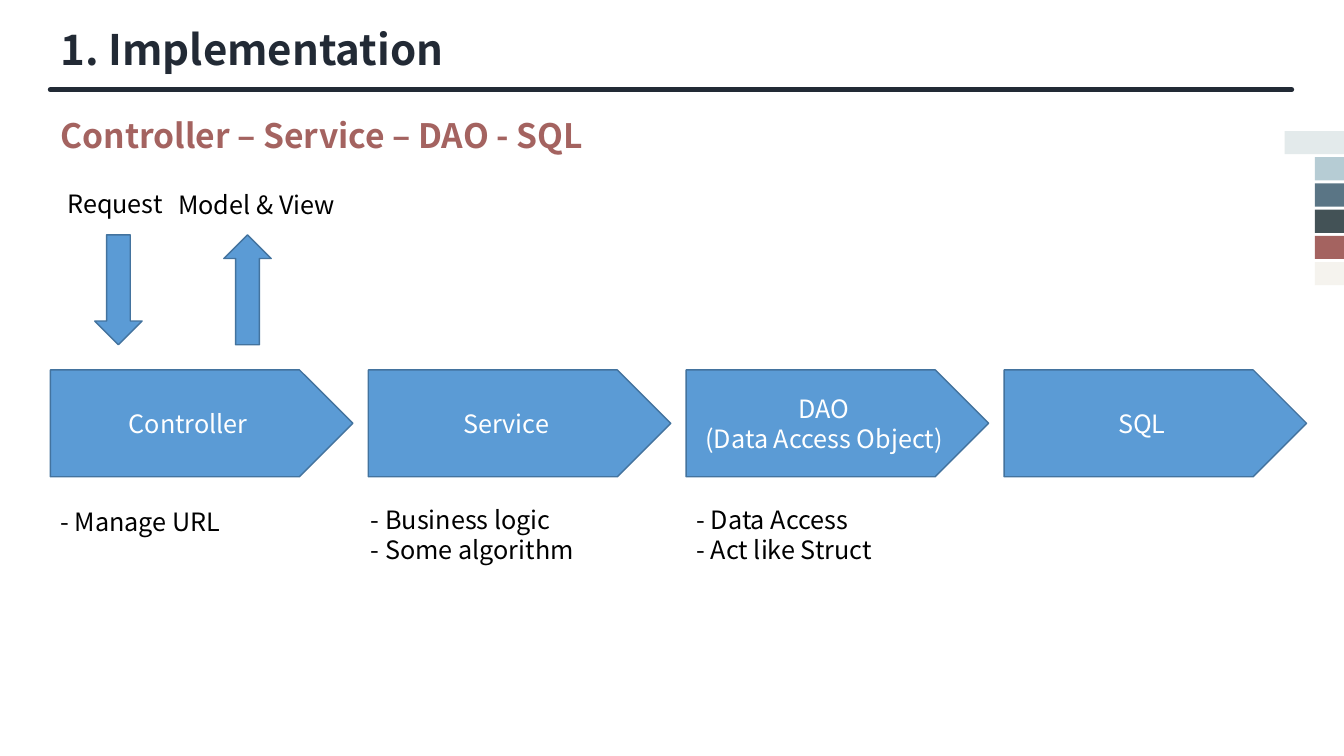
from dataclasses import dataclass
from lxml.etree import SubElement as Sub
from pptx import Presentation
from pptx.dml.color import RGBColor as Rgb
from pptx.enum.shapes import MSO_CONNECTOR as Link, MSO_SHAPE as Kind
from pptx.enum.text import MSO_ANCHOR as Anchor, MSO_AUTO_SIZE as Fit, PP_ALIGN as Align
from pptx.oxml.ns import qn
from pptx.util import Inches as In, Pt


@dataclass
class Theme:
    font: str = "Noto Sans CJK KR"
    navy: str = "222A35"
    red: str = "A46360"
    blue: str = "5B9BD5"
    edge: str = "43739E"
    white: str = "FFFFFF"
    black: str = "000000"
    swatch: tuple = ("E3EAEB", "B6CCD4", "5A7585", "435256", "A46360", "F5F3EE")
    head: int = 30
    sub: int = 24
    body: int = 18


theme = Theme()


def write(shape, text, size=theme.body, color=theme.black, bold=False,
          align=Align.LEFT, anchor=Anchor.TOP, space=1.0):
    frame = shape.text_frame
    frame.text = text
    frame.word_wrap = True
    frame.auto_size = Fit.NONE
    frame.vertical_anchor = anchor
    for para in frame.paragraphs:
        para.alignment = align
        para.line_spacing = space
        para.space_before = Pt(0)
        font = para.runs[0].font
        font.name, font.size, font.bold = theme.font, Pt(size), bold
        font.color.rgb = Rgb.from_string(color)


def draw(kind, left, top, width, height, fill, edge=None):
    shape = shapes.add_shape(kind, In(left), In(top), In(width), In(height))
    shape.shadow.inherit = False
    shape.fill.solid()
    shape.fill.fore_color.rgb = Rgb.from_string(fill)
    if edge:
        shape.line.color.rgb = Rgb.from_string(edge)
        shape.line.width = Pt(1)
    else:
        shape.line.fill.background()
    return shape


deck = Presentation()
deck.slide_width, deck.slide_height = In(13.33), In(7.5)
slide = deck.slides.add_slide(deck.slide_layouts[1])
shapes = slide.shapes
left = 0.5

# Title and subtitle
title, sub = slide.placeholders
title.left, title.top, title.width, title.height = In(left), In(0.18), In(11.88), In(0.61)
write(title, "1. Implementation", size=theme.head, color=theme.navy, bold=True)
sub.left, sub.top, sub.width, sub.height = In(left), In(0.89), In(12.31), In(1.06)
write(sub, "Controller – Service – DAO - SQL", size=theme.sub, color=theme.red,
      bold=True, space=1.5)
props = sub.text_frame.paragraphs[0]._p.get_or_add_pPr()
props.set("marL", "0")
props.set("indent", "0")
Sub(props, qn("a:buNone"))

# Rule below the title
rule = shapes.add_connector(Link.STRAIGHT, In(left), In(0.89), In(12.81), In(0.89))
rule.line.color.rgb = Rgb.from_string(theme.navy)
rule.line.width = Pt(3.75)
rule.line._get_or_add_ln().set("cap", "rnd")
Sub(rule._element.spPr, qn("a:effectLst"))

# Colour swatches at the right edge, the first one wider
for row, color in enumerate(theme.swatch):
    start = 13.04 if row else 12.74
    draw(Kind.RECTANGLE, start, 1.3 + 0.26 * row, 13.33 - start, 0.23, color)

# Layers of the request chain
layers = ("Controller", "Service", "DAO\n(Data Access Object)", "SQL")
for col, name in enumerate(layers):
    step = draw(Kind.PENTAGON, left + 3.153 * col, 3.67, 3, 1.06, theme.blue, theme.edge)
    write(step, name, color=theme.white, align=Align.CENTER, anchor=Anchor.MIDDLE)

# Arrows into and out of the controller
for kind, start in ((Kind.DOWN_ARROW, 0.94), (Kind.UP_ARROW, 2.22)):
    draw(kind, start, 2.33, 0.47, 1.09, theme.blue, theme.edge)

# Arrow labels and notes below the layers
labels = (
    ("Request", 0.57, 1.82, 1.46, 0.4),
    ("Model & View", 1.67, 1.83, 2.64, 0.4),
    ("- Manage URL", left, 4.97, 2.34, 0.4),
    ("- Business logic\n- Some algorithm", 3.58, 4.95, 2.34, 0.71),
    ("- Data Access\n- Act like Struct", 6.81, 4.95, 2.34, 0.71),
)
for text, *box in labels:
    write(shapes.add_textbox(*map(In, box)), text)

deck.save("out.pptx")
